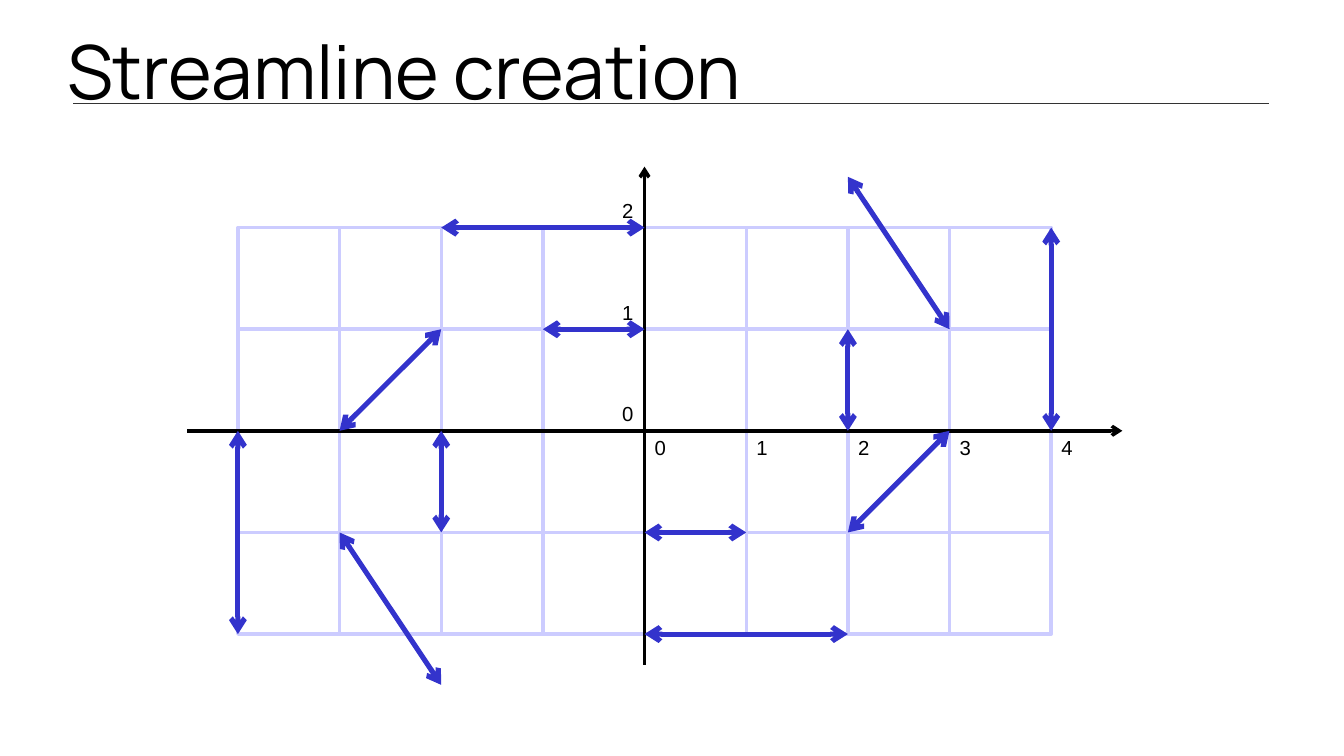
from dataclasses import dataclass
from itertools import product

from lxml.etree import SubElement
from pptx import Presentation
from pptx.dml.color import RGBColor
from pptx.enum.shapes import MSO_CONNECTOR, MSO_SHAPE
from pptx.enum.text import MSO_ANCHOR, PP_ALIGN
from pptx.oxml.ns import qn
from pptx.util import Pt

PX = 7620
CELL = 100
ORIGIN_X, ORIGIN_Y = 634, 424
COLUMNS = range(-4, 4)
ROWS = range(-1, 3)
ARROWS = [
    ((2, 0), (2, 1)),
    ((4, 0), (4, 2)),
    ((-4, 0), (-4, -2)),
    ((-2, 0), (-2, -1)),
    ((0, 1), (-1, 1)),
    ((0, 2), (-2, 2)),
    ((0, -2), (2, -2)),
    ((2, -1), (3, 0)),
    ((-2, 1), (-3, 0)),
    ((3, 1), (2, 2.5)),
    ((-3, -1), (-2, -2.5)),
    ((0, -1), (1, -1)),
]


@dataclass(frozen=True)
class Theme:
    text: RGBColor = RGBColor(0, 0, 0)
    rule: RGBColor = RGBColor(0x33, 0x33, 0x33)
    grid: RGBColor = RGBColor(0xCC, 0xCC, 0xFF)
    arrow: RGBColor = RGBColor(0x33, 0x33, 0xCC)
    title_font: str = "Manrope"
    label_font: str = "Arial"
    title_size: int = 44
    label_size: int = 12


THEME = Theme()


def px(*lengths):
    return [round(length * PX) for length in lengths]


def grid_point(x, y):
    return ORIGIN_X + x * CELL, ORIGIN_Y - y * CELL


def add_text(s, text, box, font, size):
    sp = s.shapes.add_textbox(*px(*box))
    tf = sp.text_frame
    tf.text = text
    tf.vertical_anchor = MSO_ANCHOR.MIDDLE
    r = tf.paragraphs[0].runs[0]
    r.font.name = font
    r.font.size = Pt(size)
    r.font.color.rgb = THEME.text
    return tf


def add_title(s, text):
    tf = add_text(s, text, (66, 19, 1190, 100), THEME.title_font, THEME.title_size)
    tf.word_wrap = True
    tf.margin_left = tf.margin_top = tf.margin_right = tf.margin_bottom = 0


def add_label(s, number, left, top):
    tf = add_text(s, str(number), (left, top, 35, 36), THEME.label_font, THEME.label_size)
    tf.word_wrap = False
    tf.paragraphs[0].alignment = PP_ALIGN.CENTER


def add_line(s, start, end, color, width, ends=()):
    line = s.shapes.add_connector(MSO_CONNECTOR.STRAIGHT, *px(*start, *end))
    line.line.color.rgb = color
    line.line.width = Pt(width)
    spPr = line._element.spPr
    ln = spPr.find(qn("a:ln"))
    for name in ends:
        SubElement(ln, qn(f"a:{name}"), type="arrow")
    SubElement(spPr, qn("a:effectLst"))


def add_cell(s, column, row):
    sp = s.shapes.add_shape(
        MSO_SHAPE.RECTANGLE, *px(*grid_point(column, row), CELL, CELL)
    )
    sp.shadow.inherit = False
    sp.fill.background()
    sp.line.color.rgb = THEME.grid
    sp.line.width = Pt(2)


def add_axes(s):
    for start, end in [((184, ORIGIN_Y), (1104, ORIGIN_Y)),
                       ((ORIGIN_X, 654), (ORIGIN_X, 164))]:
        add_line(s, start, end, THEME.text, 2, ["tailEnd"])
    for number in range(5):
        x, y = grid_point(number, 0)
        add_label(s, number, x - 2, y - 2)
    for number in range(3):
        x, y = grid_point(0, number)
        add_label(s, number, x - 34, y - 35)


def main():
    prs = Presentation()
    prs.slide_width, prs.slide_height = px(1322, 744)
    s = prs.slides.add_slide(prs.slide_layouts[6])
    add_line(s, (72, 102), (1248, 102), THEME.rule, 1)
    add_title(s, "Streamline creation")
    for row, column in product(reversed(ROWS), COLUMNS):
        add_cell(s, column, row)
    add_axes(s)
    for start, end in ARROWS:
        add_line(s, grid_point(*start), grid_point(*end), THEME.arrow, 3,
                 ["headEnd", "tailEnd"])
    prs.save("out.pptx")


if __name__ == "__main__":
    main()
